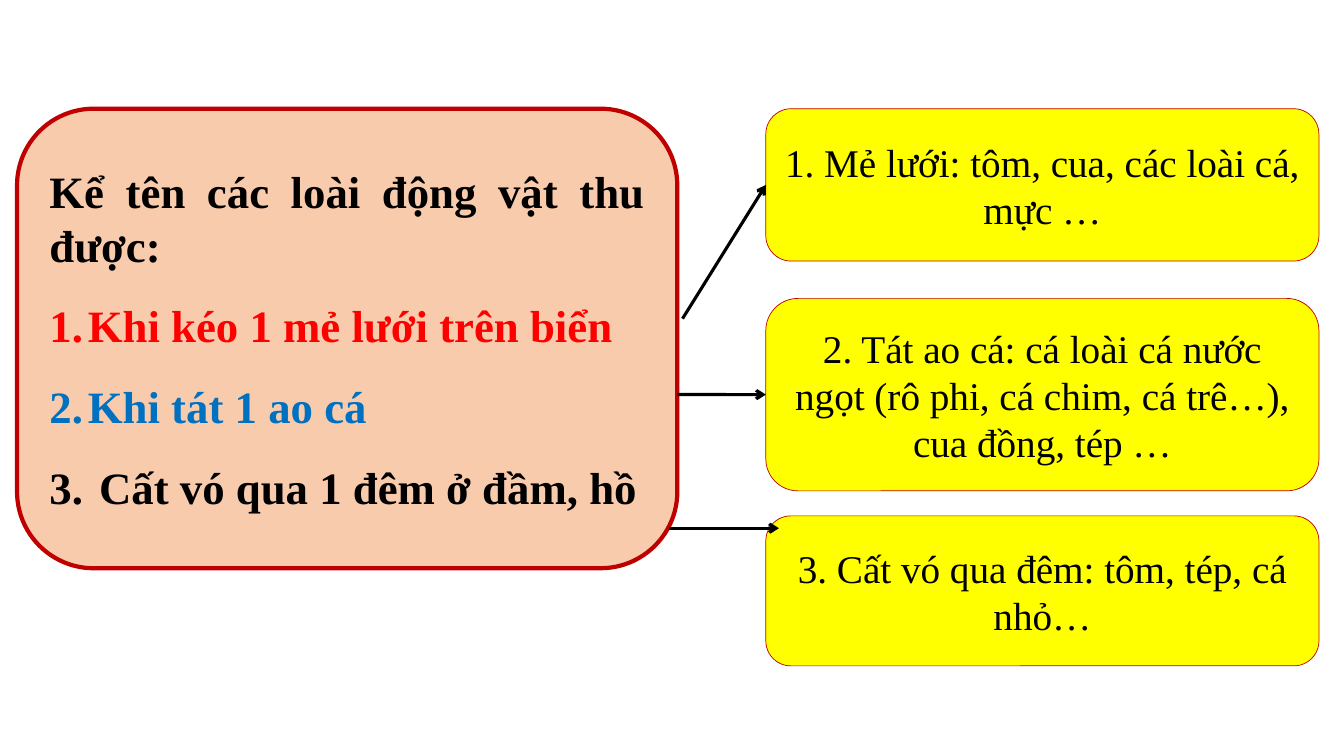
import pptx
import pptx.dml.color
import pptx.enum.shapes
import pptx.enum.text
import pptx.oxml.ns
import pptx.util
from lxml import etree
from pptx.util import Cm

COLORS = {
    "peach": "F8CBAD", "yellow": "FFFF00", "border": "C00000",
    "black": "000000", "red": "FF0000", "blue": "0070C0",
}
ALIGN = pptx.enum.text.PP_ALIGN
ANSWER_LEFT, ANSWER_WIDTH = 19.3, 13.94


def rgb(name):
    """Return the named colour."""
    return pptx.dml.color.RGBColor.from_string(COLORS[name])


def add_element(parent, tag, **attributes):
    """Append a DrawingML element to its parent."""
    return etree.SubElement(parent, pptx.oxml.ns.qn(tag), attributes)


def add_card(slide, left, top, width, height, fill, border_width):
    """Add a rounded card with a red border."""
    card = slide.shapes.add_shape(
        pptx.enum.shapes.MSO_SHAPE.ROUNDED_RECTANGLE,
        Cm(left), Cm(top), Cm(width), Cm(height))
    card.shadow.inherit = False
    card.fill.solid()
    card.fill.fore_color.rgb = rgb(fill)
    card.line.color.rgb = rgb("border")
    card.line.width = pptx.util.Pt(border_width)
    card.text_frame.word_wrap = True
    card.text_frame.vertical_anchor = pptx.enum.text.MSO_ANCHOR.MIDDLE
    return card


def add_text(paragraph, text, size, color, alignment, bold=False):
    """Write one run into a paragraph."""
    paragraph.alignment = alignment
    run = paragraph.add_run()
    run.text = text
    run.font.name = "Times New Roman"
    run.font.size = pptx.util.Pt(size)
    run.font.bold = bold
    run.font.color.rgb = rgb(color)


def add_numbered(frame, text, color):
    """Add a numbered task to the question card."""
    task = frame.add_paragraph()
    task.line_spacing = 1.5
    properties = task._p.get_or_add_pPr()
    properties.set("marL", str(Cm(0.97)))
    properties.set("indent", str(-Cm(0.97)))
    add_element(properties, "a:buFont", typeface="+mj-lt")
    add_element(properties, "a:buAutoNum", type="arabicPeriod")
    add_text(task, text, 32, color, ALIGN.JUSTIFY, bold=True)


def add_question(slide):
    """Add the question card with its three tasks."""
    frame = add_card(slide, 0.43, 2.74, 16.64, 11.58, "peach", 3).text_frame
    add_text(frame.paragraphs[0], "Kể tên các loài động vật thu được:",
             32, "black", ALIGN.JUSTIFY, bold=True)
    for task, color in (
        ("Khi kéo 1 mẻ lưới trên biển", "red"),
        ("Khi tát 1 ao cá", "blue"),
        (" Cất vó qua 1 đêm ở đầm, hồ", "black"),
    ):
        add_numbered(frame, task, color)


def add_answer(slide, top, height, text):
    """Add a yellow answer card."""
    answer = add_card(slide, ANSWER_LEFT, top, ANSWER_WIDTH, height, "yellow", 0.5)
    add_text(answer.text_frame.paragraphs[0], text, 28, "black", ALIGN.CENTER)
    return answer


def add_arrow(slide, start, end, target=None):
    """Add an arrow, joined to the target's left side if one is given."""
    arrow = slide.shapes.add_connector(
        pptx.enum.shapes.MSO_CONNECTOR.STRAIGHT, *map(Cm, start + end))
    if target is not None:
        arrow.end_connect(target, 1)
    arrow.line.color.rgb = rgb("black")
    arrow.line.width = pptx.util.Pt(2.25)
    add_element(arrow.line._get_or_add_ln(), "a:tailEnd", type="arrow")
    add_element(arrow._element.spPr, "a:effectLst")


def main():
    """Build and save the slide."""
    deck = pptx.Presentation()
    deck.slide_width, deck.slide_height = Cm(33.87), Cm(19.05)
    slide = deck.slides.add_slide(deck.slide_layouts[6])
    add_question(slide)
    net = add_answer(slide, 2.74, 3.84, "1. Mẻ lưới: tôm, cua, các loài cá, mực …")
    pond = add_answer(
        slide, 7.52, 4.85,
        "2. Tát ao cá: cá loài cá nước ngọt (rô phi, cá chim, cá trê…), cua đồng, tép …")
    add_answer(slide, 13, 3.78, "3. Cất vó qua đêm: tôm, tép, cá nhỏ…")
    add_arrow(slide, (17.2, 8.03), (ANSWER_LEFT, 4.66), net)
    add_arrow(slide, (17.07, 9.94), (ANSWER_LEFT, 9.94), pond)
    add_arrow(slide, (16.87, 13.31), (19.63, 13.31))
    deck.save("out.pptx")


if __name__ == "__main__":
    main()
